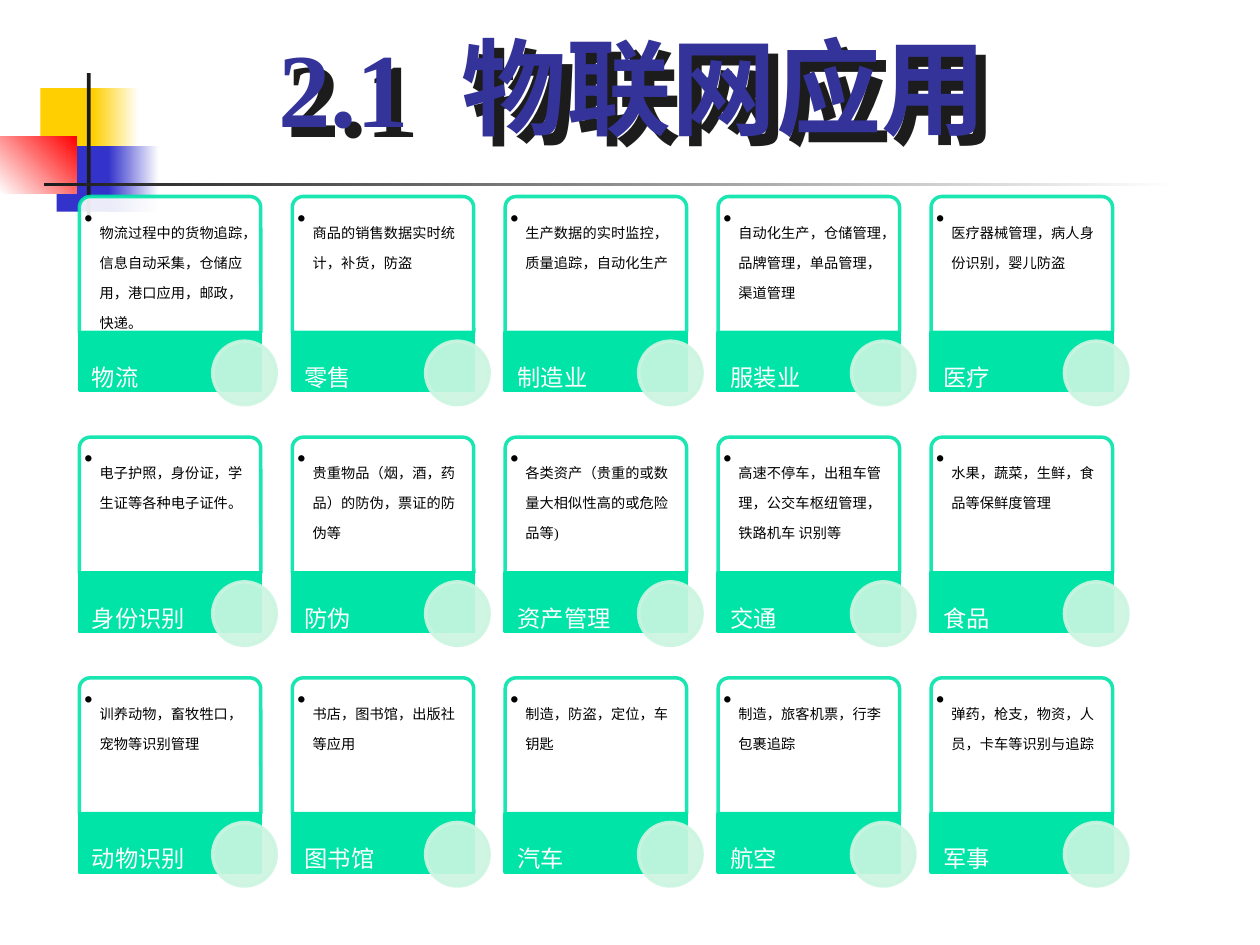
from lxml.etree import SubElement
from pptx import Presentation
from pptx.dml.color import RGBColor
from pptx.enum.shapes import MSO_SHAPE
from pptx.enum.text import MSO_ANCHOR, MSO_AUTO_SIZE, PP_ALIGN
from pptx.oxml.ns import qn
from pptx.util import Inches, Pt

FONT = "Times New Roman"
GREEN, MINT, INK = "00E4A8", "CCF5E1", "1C1C1C"
YELLOW, BLUE, RED, WHITE = "FFCF01", "3333CC", "FF0000", "FFFFFF"

GRID_LEFT, GRID_TOP = 0.63, 1.56
COLUMN_PITCH, ROW_PITCH = 1.69, 1.91
CARD_WIDTH, CARD_HEIGHT = 1.44, 1.54

APPLICATIONS = [
    [("物流", "物流过程中的货物追踪，信息自动采集，仓储应用，港口应用，邮政，快递。"),
     ("零售", "商品的销售数据实时统计，补货，防盗"),
     ("制造业", "生产数据的实时监控，质量追踪，自动化生产"),
     ("服装业", "自动化生产，仓储管理，品牌管理，单品管理，渠道管理"),
     ("医疗", "医疗器械管理，病人身份识别，婴儿防盗")],
    [("身份识别", "电子护照，身份证，学生证等各种电子证件。"),
     ("防伪", "贵重物品（烟，酒，药品）的防伪，票证的防伪等"),
     ("资产管理", "各类资产（贵重的或数量大相似性高的或危险品等)"),
     ("交通", "高速不停车，出租车管理，公交车枢纽管理，铁路机车 识别等"),
     ("食品", "水果，蔬菜，生鲜，食品等保鲜度管理")],
    [("动物识别", "训养动物，畜牧牲口，宠物等识别管理"),
     ("图书馆", "书店，图书馆，出版社等应用"),
     ("汽车", "制造，防盗，定位，车钥匙"),
     ("航空", "制造，旅客机票，行李包裹追踪"),
     ("军事", "弹药，枪支，物资，人员，卡车等识别与追踪")],
]


def color(value):
    return RGBColor.from_string(value)


def add_shape(slide, kind, box, fill, line=None, opacity=100):
    shape = slide.shapes.add_shape(kind, *map(Inches, box))
    shape.shadow.inherit = False
    shape.fill.solid()
    shape.fill.fore_color.rgb = color(fill)
    if line:
        shape.line.color.rgb = color(line)
        shape.line.width = Pt(2)
    else:
        shape.line.fill.background()
    if opacity < 100:
        set_opacity(shape.fill, opacity)
    return shape


def set_opacity(fill, percent):
    """Make a solid fill, of a shape or of its line, partly transparent."""
    for rgb in fill._xPr.iter(qn("a:srgbClr")):
        SubElement(rgb, qn("a:alpha")).set("val", str(percent * 1000))


def add_gradient(slide, box, start, end, angle=0):
    shape = add_shape(slide, MSO_SHAPE.RECTANGLE, box, start)
    shape.fill.gradient()
    shape.fill.gradient_angle = angle
    for stop, value in zip(shape.fill.gradient_stops, (start, end)):
        stop.color.rgb = color(value)


def add_text(slide, box, text, size, value, margins, space_after, bullet=False):
    """Add a wrapped text box with lowered characters."""
    text_box = slide.shapes.add_textbox(*map(Inches, box))
    frame = text_box.text_frame
    frame.word_wrap = True
    (frame.margin_left, frame.margin_top,
     frame.margin_right, frame.margin_bottom) = map(Inches, margins)
    frame.text = text
    paragraph = frame.paragraphs[0]
    paragraph.line_spacing = 0.9
    properties = paragraph._p.get_or_add_pPr()
    spacing = SubElement(properties, qn("a:spcAft"))
    SubElement(spacing, qn("a:spcPct")).set("val", str(space_after * 1000))
    if bullet:
        paragraph.level = 1
        properties.set("marL", str(Inches(0.12)))
        properties.set("indent", str(-Inches(0.12)))
        SubElement(properties, qn("a:buChar")).set("char", "•")
    font = paragraph.runs[0].font
    font.name, font.size, font.color.rgb = FONT, Pt(size), color(value)
    font._element.set("baseline", "-25000")
    return frame


def add_decoration(slide, left, top):
    """Draw the overlapping squares and the two rules behind the title."""
    def place(x, y, width, height):
        return left + x, top + y, width, height

    square = MSO_SHAPE.RECTANGLE
    add_shape(slide, square, place(0.32, 0.12, 0.48, 0.52), YELLOW)
    add_gradient(slide, place(0.74, 0.12, 0.36, 0.52), YELLOW, WHITE)
    add_shape(slide, square, place(0.45, 0.58, 0.46, 0.52), BLUE)
    add_gradient(slide, place(0.86, 0.58, 0.4, 0.52), BLUE, WHITE)
    add_gradient(slide, place(0, 0.5, 0.61, 0.46), WHITE, RED, 45)
    add_shape(slide, square, place(0.69, 0, 0.03, 1.15), INK)
    add_gradient(slide, place(0.35, 0.87, 9, 0.03), INK, WHITE)


def set_title(slide, box, text):
    title = slide.shapes.title
    title.left, title.top, title.width, title.height = map(Inches, box)
    frame = title.text_frame
    frame.text = text
    frame.word_wrap = True
    frame.auto_size = MSO_AUTO_SIZE.SHAPE_TO_FIT_TEXT
    paragraph = frame.paragraphs[0]
    paragraph.alignment = PP_ALIGN.CENTER
    font = paragraph.runs[0].font
    font.name, font.size, font.bold = FONT, Pt(60), True
    font.color.rgb = color("333399")
    title.shadow.inherit = False
    effects = title._element.spPr.find(qn("a:effectLst"))
    shadow = SubElement(effects, qn("a:outerShdw"), dist=str(Inches(0.11)),
                        dir="2700000", algn="ctr", rotWithShape="0")
    SubElement(shadow, qn("a:srgbClr")).set("val", INK)


def add_card(slide, left, top, width, height, name, description):
    """Draw a frame with a description above a name band and a disc."""
    panel_height = height * 0.7
    band_top, band_height = top + panel_height, height * 0.3
    panel = add_shape(slide, MSO_SHAPE.ROUND_2_SAME_RECTANGLE,
                      (left, top, width, panel_height), WHITE, GREEN, 90)
    panel.adjustments[0], panel.adjustments[1] = 0.08, 0
    add_text(slide, (left + 0.02, top + 0.03, width - 0.05, panel_height - 0.03),
             description, 14, "000000", (0.02, 0.06, 0.02, 0.02), 15, bullet=True)
    add_shape(slide, MSO_SHAPE.RECTANGLE,
              (left, band_top, width, band_height), GREEN, GREEN)
    label = add_text(slide, (left, band_top, width * 0.71, band_height),
                     name, 23, WHITE, (0.1, 0, 0.03, 0), 35)
    label.vertical_anchor = MSO_ANCHOR.MIDDLE
    diameter = width * 0.35
    disc = add_shape(slide, MSO_SHAPE.OVAL,
                     (left + width * 0.735, band_top + 0.07, diameter, diameter),
                     MINT, MINT, 90)
    set_opacity(disc.line.fill, 90)


def main():
    presentation = Presentation()
    presentation.slide_width, presentation.slide_height = Inches(10), Inches(7.5)
    slide = presentation.slides.add_slide(presentation.slide_layouts[5])
    add_decoration(slide, 0, 0.58)
    set_title(slide, (0.98, 0.13, 8.08, 1.1), "2.1  物联网应用")
    for row, cards in enumerate(APPLICATIONS):
        for column, (name, description) in enumerate(cards):
            add_card(slide, GRID_LEFT + column * COLUMN_PITCH,
                     GRID_TOP + row * ROW_PITCH,
                     CARD_WIDTH, CARD_HEIGHT, name, description)
    presentation.save("out.pptx")


if __name__ == "__main__":
    main()
